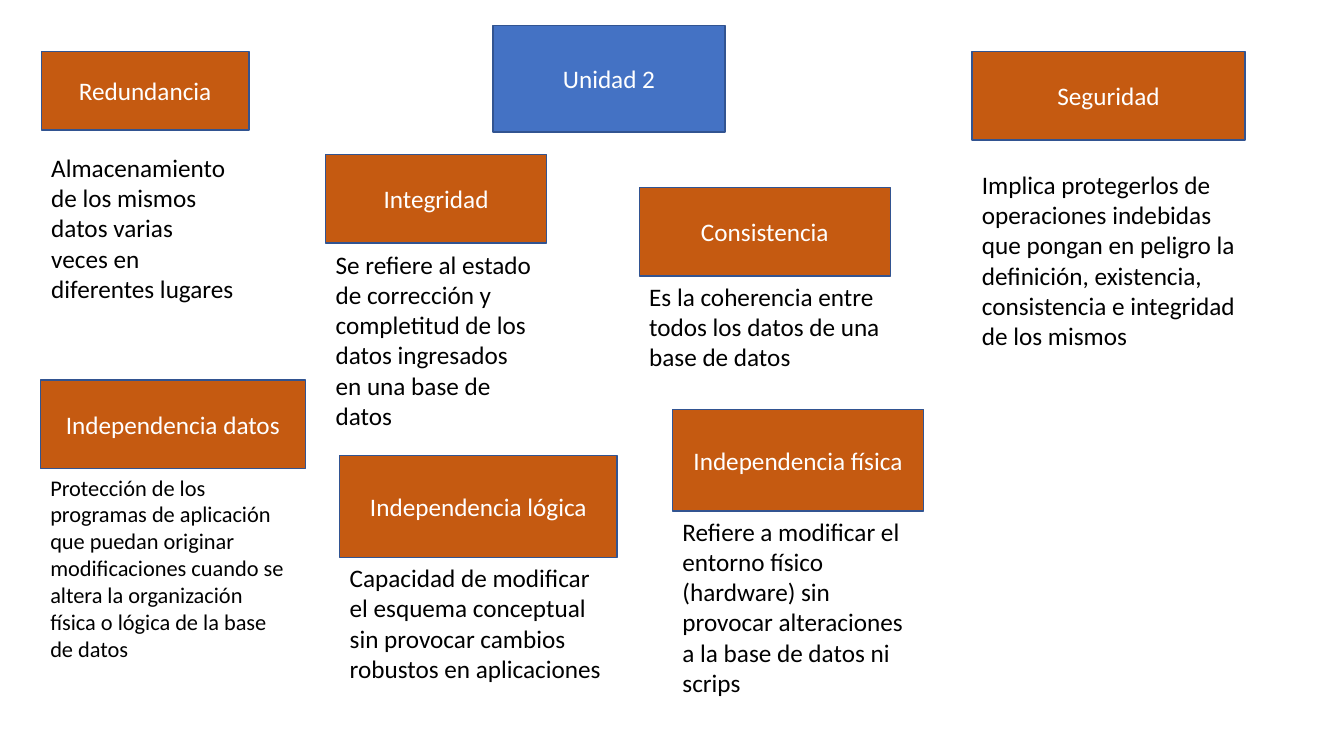
from pptx import Presentation
from pptx.dml.color import RGBColor
from pptx.enum.shapes import MSO_SHAPE
from pptx.enum.text import MSO_ANCHOR, MSO_AUTO_SIZE, PP_ALIGN
from pptx.util import Pt

PX = 9144  # 100 px to the inch
BLUE, ORANGE, OUTLINE = "4472C4", "C55A11", "325491"
WHITE, BLACK = "FFFFFF", "000000"


def write_text(shape, text, size, color, alignment, anchor):
    frame = shape.text_frame
    frame.text = text
    frame.word_wrap = True
    frame.vertical_anchor = anchor
    paragraph = frame.paragraphs[0]
    paragraph.alignment = alignment
    paragraph.line_spacing = 1.0
    font = paragraph.runs[0].font
    font.name = "Calibri"
    font.size = Pt(size)
    font.color.rgb = RGBColor.from_string(color)


def format_box(shape, text, fill):
    shape.fill.solid()
    shape.fill.fore_color.rgb = RGBColor.from_string(fill)
    shape.line.color.rgb = RGBColor.from_string(OUTLINE)
    shape.line.width = Pt(1)
    write_text(shape, text, 18, WHITE, PP_ALIGN.CENTER, MSO_ANCHOR.MIDDLE)


presentation = Presentation()
presentation.slide_width = 1333 * PX
presentation.slide_height = 750 * PX
slide = presentation.slides.add_slide(presentation.slide_layouts[5])

# Title
title = slide.shapes.title
title.left, title.top, title.width, title.height = (
    length * PX for length in (489, 25, 230, 106))
format_box(title, "Unidad 2", BLUE)
title.text_frame.auto_size = MSO_AUTO_SIZE.NONE

# Concepts: term, box (left, top, width, height),
# definition, its area (top, width, height), its text size
concepts = [
    ("Redundancia", (41, 51, 206, 78),
     "Almacenamiento de los mismos datos varias veces en diferentes lugares",
     (146, 202, 162), 18),
    ("Integridad", (323, 153, 219, 88),
     "Se refiere al estado de corrección y completitud de los datos "
     "ingresados en una base de datos",
     (242, 219, 192), 18),
    ("Consistencia", (634, 186, 249, 88),
     "Es la coherencia entre todos los datos de una base de datos",
     (274, 249, 101), 18),
    ("Seguridad", (964, 51, 271, 88),
     "Implica protegerlos de operaciones indebidas que pongan en peligro la "
     "definición, existencia, consistencia e integridad de los mismos",
     (163, 271, 222), 18),
    ("Independencia datos", (40, 377, 263, 88),
     "Protección de los programas de aplicación que puedan originar "
     "modificaciones cuando se altera la organización física o lógica "
     "de la base de datos",
     (465, 255, 199), 16),
    ("Independencia lógica", (337, 452, 275, 101),
     "Capacidad de modificar el esquema conceptual sin provocar cambios "
     "robustos en aplicaciones",
     (553, 273, 131), 18),
    ("Independencia física", (667, 406, 249, 101),
     "Refiere a modificar el entorno físico (hardware) sin provocar "
     "alteraciones a la base de datos ni scrips",
     (507, 255, 192), 18),
]

for term, box_area, definition, (top, width, height), size in concepts:
    # Term box
    box = slide.shapes.add_shape(
        MSO_SHAPE.RECTANGLE, *(length * PX for length in box_area))
    box.shadow.inherit = False
    format_box(box, term, ORANGE)

    # Definition, aligned with the left side of its box
    note = slide.shapes.add_textbox(
        box.left, top * PX, width * PX, height * PX)
    write_text(note, definition, size, BLACK, PP_ALIGN.LEFT, MSO_ANCHOR.TOP)
    note.text_frame.auto_size = MSO_AUTO_SIZE.SHAPE_TO_FIT_TEXT

presentation.save("out.pptx")
